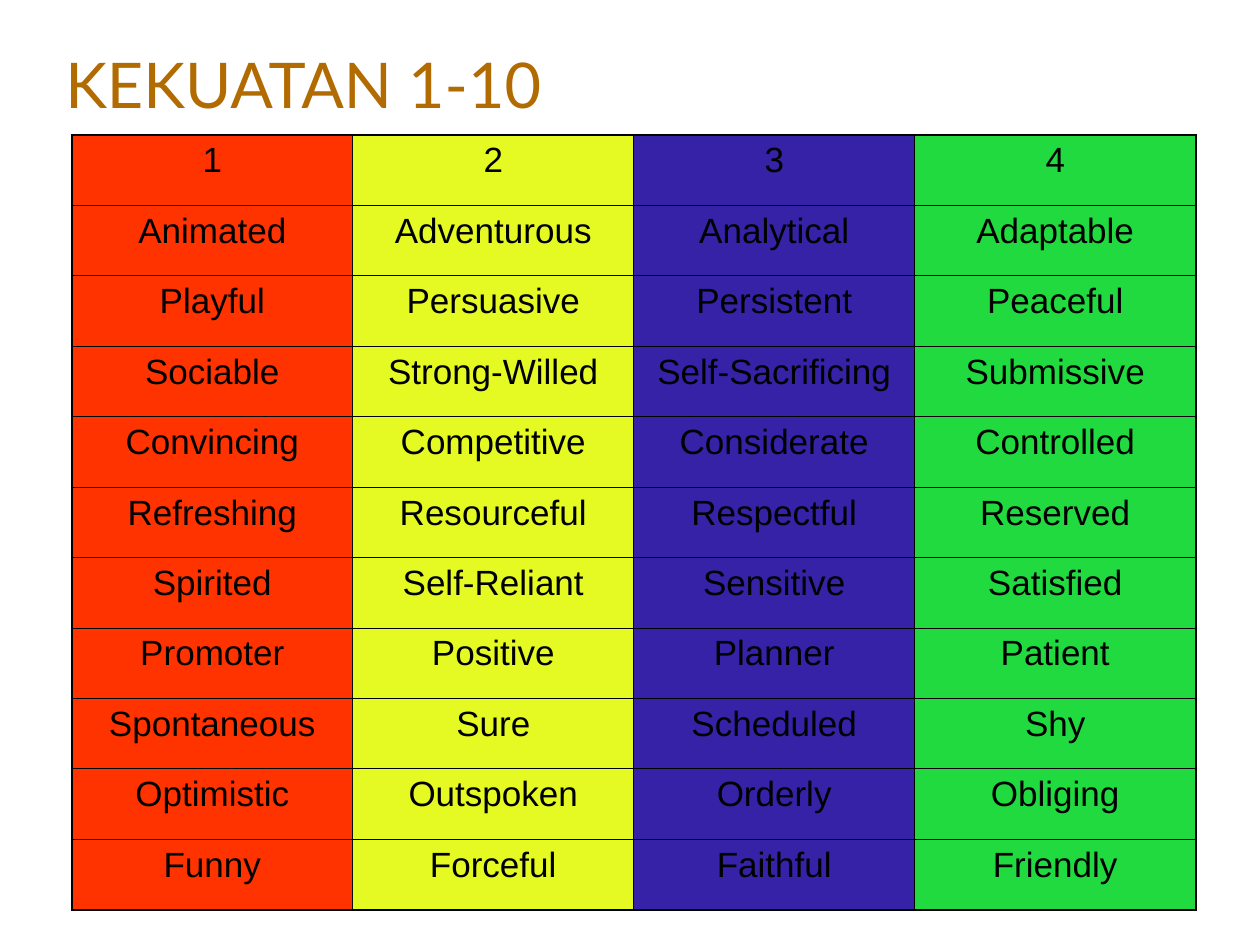
from dataclasses import dataclass
from typing import Optional

import lxml.etree
import pptx
import pptx.dml.color
import pptx.enum.text
import pptx.oxml
import pptx.oxml.ns
import pptx.util

Inches = pptx.util.Inches
Align = pptx.enum.text.PP_ALIGN


@dataclass(frozen=True)
class Theme:
    title_color: str = "B16B00"
    title_shadow: str = "4A2D00"
    ink: str = "000000"
    title_font: str = "Lato"
    table_font: str = "Arial"
    title_size: float = 36
    table_size: float = 20
    outer_line: float = 1.08
    inner_line: float = 0.45


@dataclass(frozen=True)
class Temperament:
    number: str
    fill: str
    strengths: str

    def entries(self) -> list[str]:
        return [self.number, *self.strengths.split()]


THEME = Theme()

TEMPERAMENTS = [
    Temperament("1", "FF3300", "Animated Playful Sociable Convincing Refreshing "
                "Spirited Promoter Spontaneous Optimistic Funny"),
    Temperament("2", "E5F923", "Adventurous Persuasive Strong-Willed Competitive "
                "Resourceful Self-Reliant Positive Sure Outspoken Forceful"),
    Temperament("3", "3522A6", "Analytical Persistent Self-Sacrificing Considerate "
                "Respectful Sensitive Planner Scheduled Orderly Faithful"),
    Temperament("4", "20DA3F", "Adaptable Peaceful Submissive Controlled Reserved "
                "Satisfied Patient Shy Obliging Friendly"),
]


def write_text(frame, text: str, *, font: str, size: float, color: str,
               align: Align = Align.LEFT, shadow: Optional[str] = None) -> None:
    paragraph = frame.paragraphs[0]
    paragraph.alignment = align
    run = paragraph.add_run()
    run.text = text
    run.font.name = font
    run.font.size = pptx.util.Pt(size)
    run.font.color.rgb = pptx.dml.color.RGBColor.from_string(color)
    if shadow:
        effects = pptx.oxml.parse_xml(
            f'<a:effectLst {pptx.oxml.ns.nsdecls("a")}>'
            '<a:outerShdw dist="17780" dir="2700000">'
            f'<a:srgbClr val="{shadow}"/></a:outerShdw></a:effectLst>')
        # Effects belong directly after the text fill
        run.font.fill
        properties = run.font._element
        properties.find(pptx.oxml.ns.qn("a:solidFill")).addnext(effects)


def set_borders(cell, widths: dict[str, float]) -> None:
    """Put the left, right, top and bottom lines ahead of the cell fill."""
    properties = cell._tc.get_or_add_tcPr()
    for position, (side, width) in enumerate(widths.items()):
        line = pptx.oxml.parse_xml(
            f'<a:ln{side} {pptx.oxml.ns.nsdecls("a")} w="{pptx.util.Pt(width)}">'
            f'<a:solidFill><a:srgbClr val="{THEME.ink}"/></a:solidFill></a:ln{side}>')
        properties.insert(position, line)


def draw_title(slide, text: str) -> None:
    title = slide.shapes.add_textbox(Inches(0.42), Inches(0.33), Inches(9.17), Inches(0.67))
    frame = title.text_frame
    frame.word_wrap = True
    frame.vertical_anchor = pptx.enum.text.MSO_ANCHOR.MIDDLE
    write_text(frame, text, font=THEME.title_font, size=THEME.title_size,
               color=THEME.title_color, shadow=THEME.title_shadow)


def draw_strengths(slide, temperaments: list[Temperament]) -> None:
    column_count = len(temperaments)
    row_count = len(temperaments[0].entries())
    strengths = slide.shapes.add_table(row_count, column_count, Inches(0.57), Inches(1.07),
                                       Inches(8.92), Inches(6.15)).table
    strengths.first_row = False
    strengths.horz_banding = False

    def line_width(on_edge: bool) -> float:
        return THEME.outer_line if on_edge else THEME.inner_line

    for column, temperament in enumerate(temperaments):
        for row, entry in enumerate(temperament.entries()):
            cell = strengths.cell(row, column)
            cell.fill.solid()
            cell.fill.fore_color.rgb = pptx.dml.color.RGBColor.from_string(temperament.fill)
            set_borders(cell, {
                "L": line_width(column == 0),
                "R": line_width(column == column_count - 1),
                "T": line_width(row == 0),
                "B": line_width(row == row_count - 1),
            })
            write_text(cell.text_frame, entry, font=THEME.table_font,
                       size=THEME.table_size, color=THEME.ink, align=Align.CENTER)


def main() -> None:
    deck = pptx.Presentation()
    deck.slide_width, deck.slide_height = Inches(10), Inches(7.5)
    slide = deck.slides.add_slide(deck.slide_layouts[6])

    # Heading
    draw_title(slide, "KEKUATAN 1-10")

    # One coloured column for each temperament
    draw_strengths(slide, TEMPERAMENTS)

    deck.save("out.pptx")


if __name__ == "__main__":
    main()
